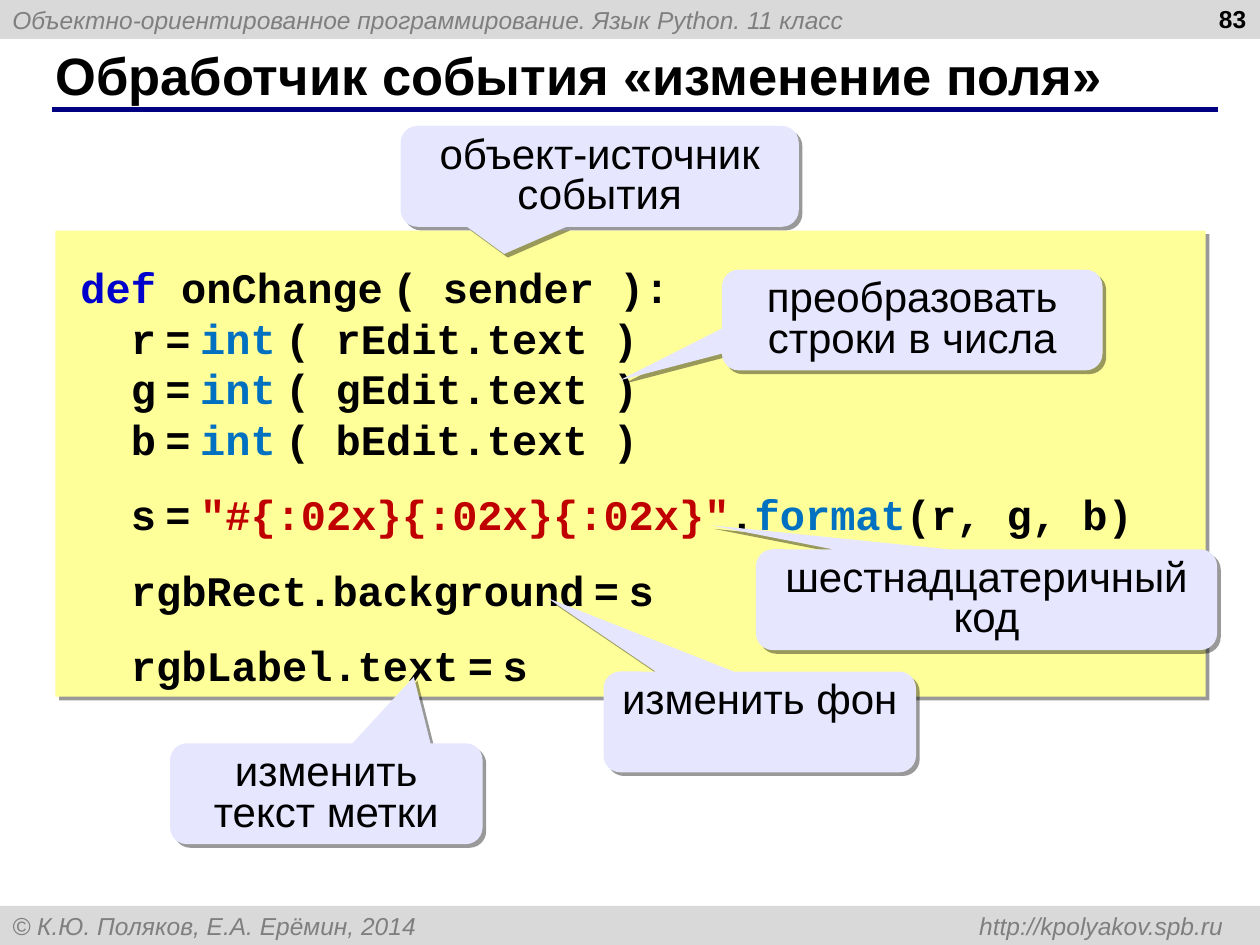
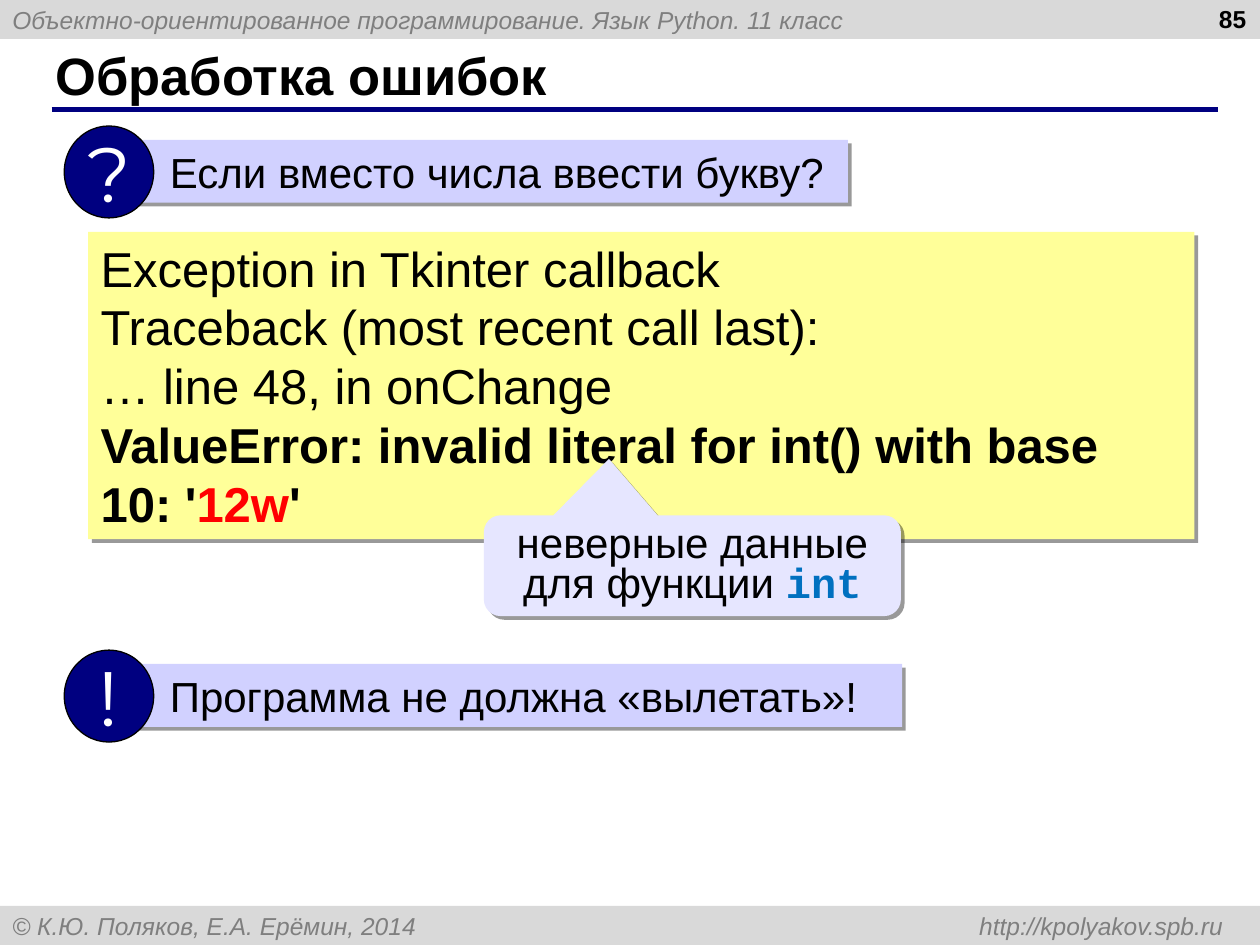
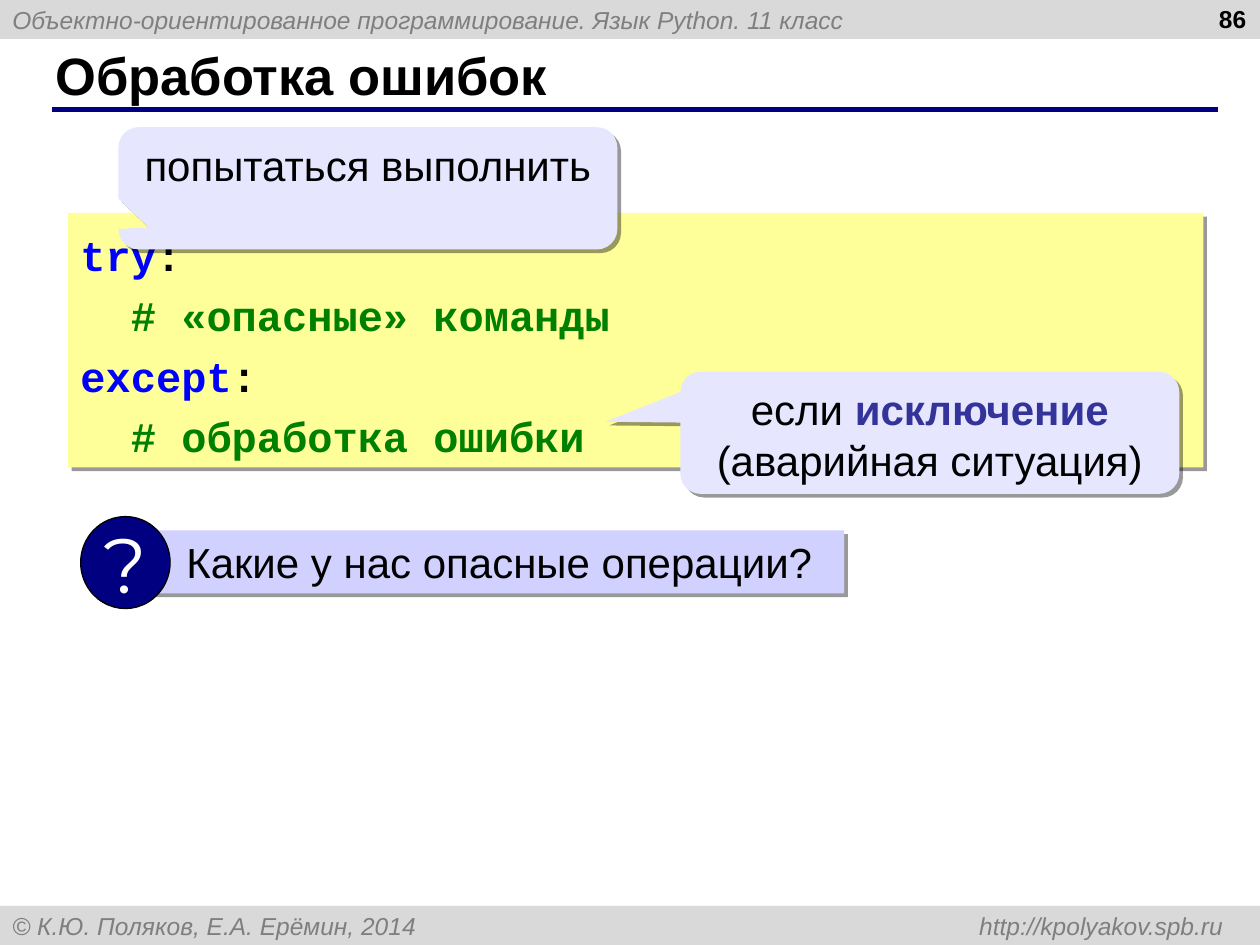
import pptx
import pptx.dml.color
import pptx.enum.shapes
import pptx.enum.text
import pptx.oxml
import pptx.oxml.ns
import pptx.util
from lxml import etree

RGB = pptx.dml.color.RGBColor
SHAPE = pptx.enum.shapes.MSO_SHAPE
ALIGN = pptx.enum.text.PP_ALIGN
ANCHOR = pptx.enum.text.MSO_ANCHOR
Pt = pptx.util.Pt
qn = pptx.oxml.ns.qn

BLACK = RGB(0x00, 0x00, 0x00)
WHITE = RGB(0xFF, 0xFF, 0xFF)
NAVY = RGB(0x00, 0x00, 0x80)
BAND = RGB(0xD9, 0xD9, 0xD9)
BAND_TEXT = RGB(0x7F, 0x7F, 0x7F)
PAPER = RGB(0xFF, 0xFF, 0x99)
LILAC = RGB(0xE6, 0xE6, 0xFF)
STRIP = RGB(0xD1, 0xD1, 0xFF)
KEYWORD = RGB(0x00, 0x00, 0xCC)
BRIGHT_KEYWORD = RGB(0x00, 0x00, 0xFF)
BUILTIN = RGB(0x00, 0x70, 0xC0)
STRING = RGB(0xC0, 0x00, 0x00)
COMMENT = RGB(0x00, 0x80, 0x00)
ERROR = RGB(0xFF, 0x00, 0x00)
TERM = RGB(0x33, 0x33, 0x99)

SANS, MONO, SIGN = "Arial", "Courier New", "Montserrat"
WIDTH, HEIGHT = pptx.util.Inches(10), pptx.util.Inches(7.5)
COLUMNS, ROWS = 100, 75
BAND_ROWS = 3.1

COURSE = "Объектно-ориентированное программирование. Язык Python. 11 класс"
CREDIT = "© К.Ю. Поляков, Е.А. Ерёмин, 2014\thttp://kpolyakov.spb.ru"

GAP = (" ", {"size": 9})  # narrow space inside code


def grid(*cells):
    """Turn alternating columns and rows into slide lengths."""
    units = (WIDTH / COLUMNS, HEIGHT / ROWS)
    return [round(cell * units[i % 2]) for i, cell in enumerate(cells)]


def write(sp, lines, align=ALIGN.LEFT, anchor=ANCHOR.TOP, wrap=True, spacing=None, **fmt):
    """Fill sp with paragraphs; each is a string or a list of (text, format) runs."""
    tf = sp.text_frame
    tf.word_wrap, tf.vertical_anchor = wrap, anchor
    tf.auto_size = pptx.enum.text.MSO_AUTO_SIZE.NONE
    for i, line in enumerate(lines):
        p = tf.paragraphs[0] if i == 0 else tf.add_paragraph()
        p.alignment, p.line_spacing = align, spacing
        for text, own in [(line, {})] if isinstance(line, str) else line:
            add_run(p, text, **{**fmt, **own})
    return tf


def add_run(p, text, size=24, font=SANS, color=BLACK, bold=False, italic=False):
    r = p.add_run()
    r.text = text
    r.font.size, r.font.name = Pt(size), font
    r.font.bold, r.font.italic = bold, italic
    r.font.color.rgb = color


def indent(p, left, first=0):
    pPr = p._p.get_or_add_pPr()
    pPr.set("marL", str(grid(left)[0]))
    pPr.set("indent", str(grid(first)[0]))


def add_block(shapes, kind, box, fill, shadow=True):
    sp = shapes.add_shape(kind, *grid(*box))
    sp.fill.solid()
    sp.fill.fore_color.rgb = fill
    sp.line.fill.background()
    sp.shadow.inherit = False
    if shadow:
        effects = sp._element.spPr.find(qn("a:effectLst"))
        outer = etree.SubElement(effects, qn("a:outerShdw"), blurRad="0", dist=str(Pt(3)),
                                 dir=str(45 * 60000), algn="tl", rotWithShape="0")
        black = etree.SubElement(outer, qn("a:srgbClr"), val=str(BLACK))
        etree.SubElement(black, qn("a:alpha"), val="40000")
    return sp


def add_band(s, top, text):
    sp = add_block(s.shapes, SHAPE.RECTANGLE, (0, top, COLUMNS, BAND_ROWS), BAND, shadow=False)
    return write(sp, [text], anchor=ANCHOR.MIDDLE, size=14, color=BAND_TEXT, italic=True)


def add_page(prs, title, number):
    """Add a slide with bands, page number, title and the rule under it."""
    s = prs.slides.add_slide(prs.slide_layouts[5])
    add_band(s, 0, COURSE)
    footer = add_band(s, ROWS - BAND_ROWS, CREDIT)
    tabs = etree.SubElement(footer.paragraphs[0]._p.get_or_add_pPr(), qn("a:tabLst"))
    etree.SubElement(tabs, qn("a:tab"), pos=str(grid(96.1)[0]), algn="r")

    rule = s.shapes.add_connector(pptx.enum.shapes.MSO_CONNECTOR.STRAIGHT,
                                  *grid(4.1, 8.7, 96.7, 8.7))
    rule.line.color.rgb, rule.line.width = NAVY, Pt(3)
    etree.SubElement(rule._element.spPr, qn("a:effectLst"))

    sp = s.shapes.title
    sp.left, sp.top, sp.width, sp.height = grid(3.4, 3.3, 91.6, 5.2)
    write(sp, [title], anchor=ANCHOR.MIDDLE, size=30, bold=True)
    page = s.shapes.add_textbox(*grid(76.6, -0.2, 23.3, 5.2))
    write(page, [str(number)], align=ALIGN.RIGHT, size=14, bold=True)
    return s


def add_listing(s, box, lines, **fmt):
    return write(add_block(s.shapes, SHAPE.RECTANGLE, box, PAPER), lines, **fmt)


def add_callout(s, box, tip, text, spacing=0.8):
    """Add a balloon; tip is the tail's end, in shares of the box from its centre."""
    sp = add_block(s.shapes, SHAPE.ROUNDED_RECTANGULAR_CALLOUT, box, LILAC)
    sp.adjustments[0], sp.adjustments[1] = tip
    write(sp, [text], align=ALIGN.CENTER, spacing=spacing)


def add_remark(s, left, top, width, sign, text):
    """Add a strip of text that starts behind a round sign."""
    shapes = s.shapes.add_group_shape().shapes
    strip = add_block(shapes, SHAPE.RECTANGLE, (left + 5.5, top + 1.1, width, 5), STRIP)
    indent(write(strip, [text]).paragraphs[0], 1.9)
    disc = add_block(shapes, SHAPE.OVAL, (left, top, 7.1, 7.3), NAVY, shadow=False)
    disc.line.color.rgb, disc.line.width = BLACK, Pt(0.75)
    write(disc, [sign], align=ALIGN.CENTER, anchor=ANCHOR.MIDDLE, wrap=False,
          size=44, font=SIGN, color=WHITE)


def assignment(name, *value):
    return [("  " + name, {}), GAP, ("=", {}), GAP, *value]


def build_handler(prs):
    s = add_page(prs, "Обработчик события «изменение поля»", 83)
    header = [("def", {"color": KEYWORD}), (" onChange", {}), GAP, ("( sender ):", {})]
    channels = [assignment(c, ("int", {"color": BUILTIN}), GAP, (f"( {c}Edit.text )", {}))
                for c in "rgb"]
    results = [
        assignment("s", ('"#{:02x}{:02x}{:02x}"', {"color": STRING}), (".", {}),
                   ("format", {"color": BUILTIN}), ("(r, g, b)", {})),
        assignment("rgbRect.background", ("s", {})),
        assignment("rgbLabel.text", ("s", {})),
    ]
    tf = add_listing(s, (4.4, 18.3, 91.3, 37), [header, *channels, *results],
                     font=MONO, bold=True, spacing=1.5)
    for p in tf.paragraphs:
        indent(p, 2, -1)
    for p in tf.paragraphs[1:1 + len(channels)]:
        p.line_spacing = None

    for left, top, width, tip, text in [
        (57.3, 21.4, 30.2, (-0.77, 0.6), "преобразовать строки в числа"),
        (60, 43.6, 36.6, (-0.6, -0.74), "шестнадцатеричный код"),
        (47.9, 53.3, 24.8, (-0.68, -1.23), "изменить фон"),
        (13.5, 59, 24.8, (0.28, -1.16), "изменить текст метки"),
        (31.8, 10, 31.6, (-0.24, 0.77), "объект-источник события"),
    ]:
        add_callout(s, (left, top, width, 8), tip, [(text, {})])


def build_traceback(prs):
    s = add_page(prs, "Обработка ошибок", 85)
    add_remark(s, 5.1, 10, 56.7, "?", "Если вместо числа ввести букву?")
    add_remark(s, 5.1, 51.6, 61, "!", "Программа не должна «вылетать»!")
    add_listing(s, (7, 18.4, 87.8, 24.4), [
        "Exception in Tkinter callback",
        "Traceback (most recent call last):",
        "… line 48, in onChange",
        [("ValueError: invalid literal for int() with base 10: '", {"bold": True}),
         ("12w", {"bold": True, "color": ERROR}), ("'", {"bold": True})],
    ], size=28)
    add_callout(s, (38.4, 40.9, 33.1, 8), (-0.2, -1.06), [
        ("неверные данные для функции ", {}),
        ("int", {"font": MONO, "color": BUILTIN, "bold": True})])


def build_try_except(prs):
    s = add_page(prs, "Обработка ошибок", 86)
    add_listing(s, (5.4, 16.9, 90.1, 20.2), [
        [("try", {"color": BRIGHT_KEYWORD}), (":", {})],
        [("  # «опасные» команды", {"color": COMMENT})],
        [("except", {"color": BRIGHT_KEYWORD}), (":", {})],
        [("  # обработка ошибки", {"color": COMMENT})],
    ], font=MONO, bold=True, spacing=1.2)
    add_callout(s, (9.4, 10.1, 39.6, 9.7), (-0.44, 0.32),
                [("попытаться выполнить", {})], spacing=None)
    add_callout(s, (54, 29.5, 39.6, 9.7), (-0.65, -0.09), [
        ("если ", {}), ("исключение", {"color": TERM, "bold": True}),
        (" (аварийная ситуация)", {})], spacing=None)
    add_remark(s, 6.4, 41, 55.1, "?", "Какие у нас опасные операции?")


def main():
    prs = pptx.Presentation()
    prs.slide_width, prs.slide_height = WIDTH, HEIGHT
    for build in (build_handler, build_traceback, build_try_except):
        build(prs)
    prs.save("out.pptx")


if __name__ == "__main__":
    main()
